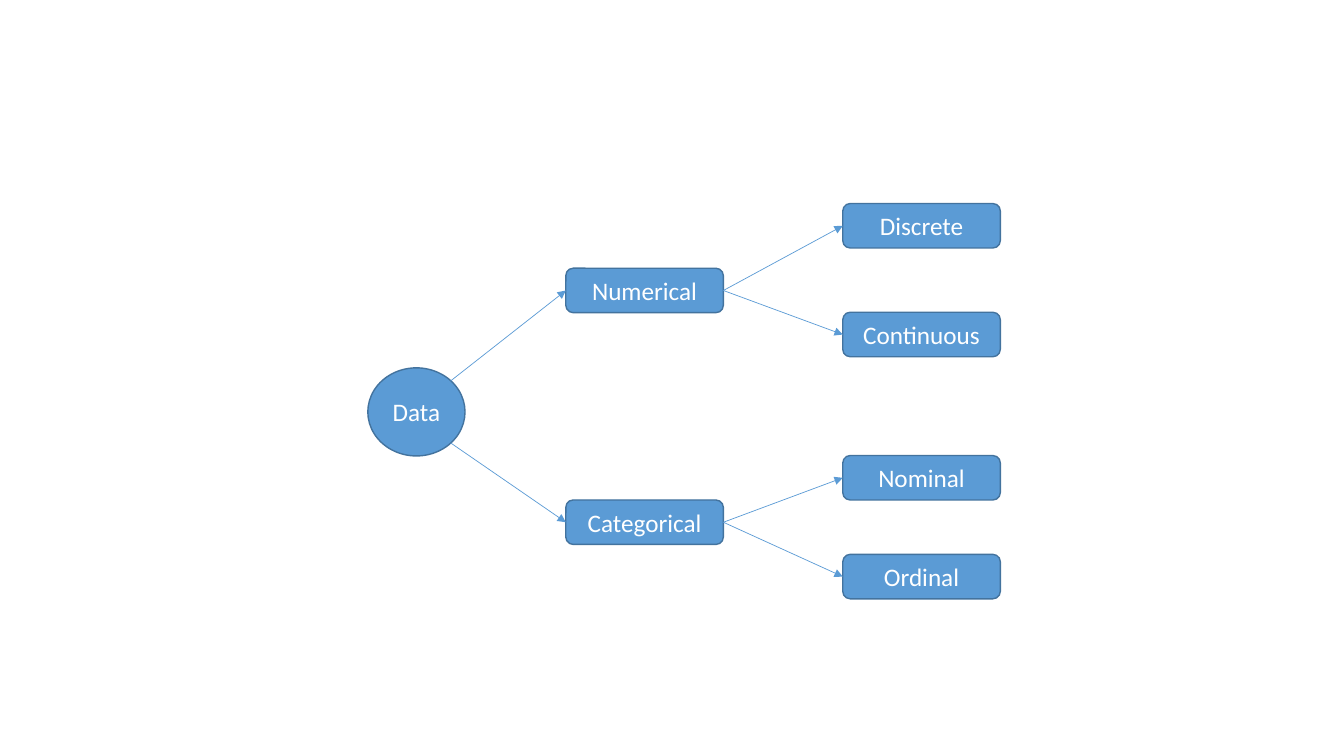
from math import sqrt
from lxml.etree import SubElement
from pptx import Presentation
from pptx.dml.color import RGBColor
from pptx.enum.shapes import MSO_CONNECTOR, MSO_SHAPE
from pptx.enum.text import MSO_ANCHOR, PP_ALIGN
from pptx.oxml.ns import qn
from pptx.util import Cm, Pt

BLUE, EDGE, WHITE = "5B9BD5", "43739E", "FFFFFF"
BOX_W, BOX_H = 3.97, 1.12
KIND_X, LEAF_X = 14.26, 21.24
# Each kind of data: name, top, and its leaves with their tops (cm)
TREE = [
    ("Numerical", 6.76, [("Discrete", 5.13), ("Continuous", 7.87)]),
    ("Categorical", 12.6, [("Nominal", 11.48), ("Ordinal", 13.97)]),
]


def color(code):
    """Turn a hex string into a colour."""
    return RGBColor.from_string(code)


def write(shape, text, size=18, font="Calibri", ink=WHITE):
    """Put centred, formatted text in a shape."""
    frame = shape.text_frame
    frame.word_wrap = True
    frame.vertical_anchor = MSO_ANCHOR.MIDDLE
    para = frame.paragraphs[0]
    para.alignment = PP_ALIGN.CENTER
    run = para.add_run()
    run.text = text
    run.font.size = Pt(size)
    run.font.name = font
    run.font.color.rgb = color(ink)


def node(slide, text, left, top, width=BOX_W, height=BOX_H,
         form=MSO_SHAPE.ROUNDED_RECTANGLE):
    """Add a filled node with its label."""
    shape = slide.shapes.add_shape(
        form, Cm(left), Cm(top), Cm(width), Cm(height))
    shape.shadow.inherit = False
    shape.fill.solid()
    shape.fill.fore_color.rgb = color(BLUE)
    shape.line.color.rgb = color(EDGE)
    shape.line.width = Pt(1)
    write(shape, text)
    return shape


def arrow(slide, start, box):
    """Draw a thin arrow from a point to the left side of a box."""
    line = slide.shapes.add_connector(MSO_CONNECTOR.STRAIGHT, *start, *start)
    line.end_connect(box, 1)
    line.line.color.rgb = color(BLUE)
    line.line.width = Pt(0.5)
    SubElement(line.line._get_or_add_ln(), qn("a:tailEnd"), type="triangle")
    SubElement(line._element.spPr, qn("a:effectLst"))
    return line


def rim(oval, side):
    """Find the right-hand diagonal point of an oval; side -1 is upper."""
    return (oval.left + int(oval.width * (1 + sqrt(0.5)) / 2),
            oval.top + int(oval.height * (1 + side * sqrt(0.5)) / 2))


def main():
    """Build the tree of data types."""
    deck = Presentation()
    deck.slide_width, deck.slide_height = Cm(33.87), Cm(19.05)
    slide = deck.slides.add_slide(deck.slide_layouts[6])
    root = node(slide, "Data", 9.27, 9.27, 2.45, 2.22, MSO_SHAPE.OVAL)
    for side, (kind, top, leaves) in zip((-1, 1), TREE):
        box = node(slide, kind, KIND_X, top)
        arrow(slide, rim(root, side), box)
        start = box.left + box.width, box.top + box.height // 2
        for leaf, y in leaves:
            line = arrow(slide, start, node(slide, leaf, LEAF_X, y))
            line.begin_connect(box, 3)
    deck.save("out.pptx")


main()
